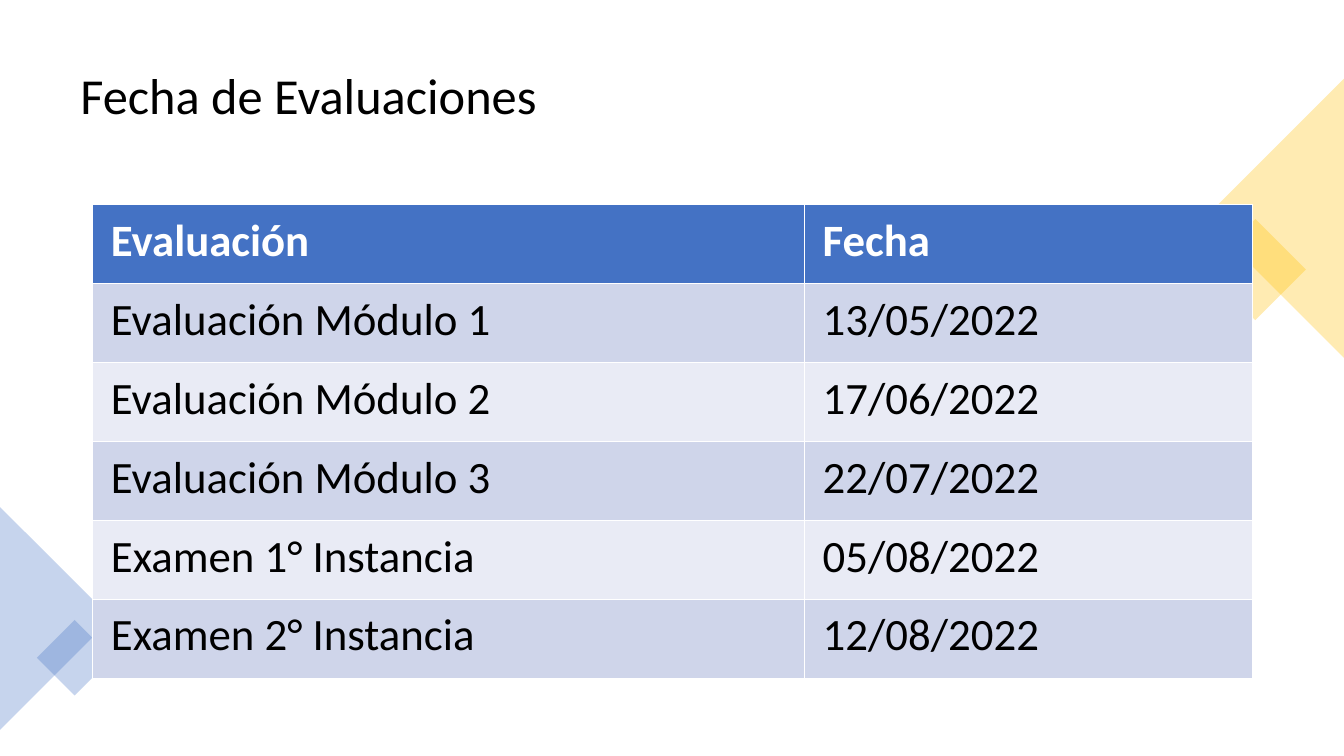
from lxml import etree
from pptx import Presentation
from pptx.dml.color import RGBColor
from pptx.enum.shapes import MSO_SHAPE
from pptx.enum.text import MSO_ANCHOR
from pptx.oxml.ns import qn
from pptx.util import Inches, Pt

SQUARE = MSO_SHAPE.RECTANGLE
TRIANGLE = MSO_SHAPE.ISOSCELES_TRIANGLE
MIDDLE = MSO_ANCHOR.MIDDLE

BLACK = RGBColor(0x00, 0x00, 0x00)
WHITE = RGBColor(0xFF, 0xFF, 0xFF)
BLUE = RGBColor(0x44, 0x72, 0xC4)
GOLD = RGBColor(0xFF, 0xC0, 0x00)
BAND_DARK = RGBColor(0xCF, 0xD5, 0xEA)
BAND_LIGHT = RGBColor(0xE9, 0xEB, 0xF5)

FONT = "Calibri"
OPACITY = "30000"
SLIDE_WIDTH, SLIDE_HEIGHT = 13.33, 7.5
DATE_SHARE = 4.44 / 11.5

SCHEDULE = [
    ("Evaluación", "Fecha"),
    ("Evaluación Módulo 1", "13/05/2022"),
    ("Evaluación Módulo 2", "17/06/2022"),
    ("Evaluación Módulo 3", "22/07/2022"),
    ("Examen 1° Instancia", "05/08/2022"),
    ("Examen 2° Instancia", "12/08/2022"),
]


def style_text(paragraph, size, color, bold=False):
    font = paragraph.font
    font.name = FONT
    font.size = Pt(size)
    font.color.rgb = color
    font.bold = bold


def add_title(slide, left, top, width, height):
    title = slide.shapes.add_textbox(
        Inches(left), Inches(top), Inches(width), Inches(height))
    frame = title.text_frame
    frame.word_wrap = True
    frame.vertical_anchor = MIDDLE
    heading = frame.paragraphs[0]
    heading.text = "Fecha de Evaluaciones"
    heading.line_spacing = 0.9
    style_text(heading, 36, BLACK)


def add_translucent(slide, kind, center, size, rotation, color):
    (x, y), (width, height) = center, size
    ornament = slide.shapes.add_shape(
        kind, Inches(x - width / 2), Inches(y - height / 2),
        Inches(width), Inches(height))
    ornament.rotation = rotation
    ornament.shadow.inherit = False
    ornament.line.fill.background()
    ornament.fill.solid()
    ornament.fill.fore_color.rgb = color
    tint = next(ornament.fill._xPr.iter(qn("a:srgbClr")))
    etree.SubElement(tint, qn("a:alpha")).set("val", OPACITY)


def add_right_ornament(slide, top, height):
    depth = height / 2
    middle = top + depth
    add_translucent(slide, SQUARE, (SLIDE_WIDTH - 0.88, middle + 0.51),
                    (0.71, 0.71), 45, GOLD)
    add_translucent(slide, TRIANGLE, (SLIDE_WIDTH - depth / 2, middle),
                    (height, depth), 270, GOLD)


def add_left_ornament(slide, top, height):
    depth = height / 2
    middle = top + depth
    add_translucent(slide, TRIANGLE, (depth / 2, middle),
                    (height, depth), 90, BLUE)
    add_translucent(slide, SQUARE, (0.74, middle + 0.39),
                    (0.53, 0.53), 45, BLUE)


def add_schedule(slide, left, top, width, height):
    schedule = slide.shapes.add_table(
        len(SCHEDULE), 2, Inches(left), Inches(top),
        Inches(width), Inches(height)).table
    schedule.columns[0].width = Inches(width * (1 - DATE_SHARE))
    schedule.columns[1].width = Inches(width * DATE_SHARE)
    for row, entries in enumerate(SCHEDULE):
        is_header = row == 0
        band = BAND_DARK if row % 2 else BAND_LIGHT
        for column, entry in enumerate(entries):
            cell = schedule.cell(row, column)
            cell.text = entry
            cell.margin_left = cell.margin_right = Inches(0.18)
            cell.margin_top = cell.margin_bottom = Inches(0.09)
            cell.fill.solid()
            cell.fill.fore_color.rgb = BLUE if is_header else band
            style_text(cell.text_frame.paragraphs[0], 32,
                       WHITE if is_header else BLACK, is_header)


def main():
    deck = Presentation()
    deck.slide_width = Inches(SLIDE_WIDTH)
    deck.slide_height = Inches(SLIDE_HEIGHT)
    slide = deck.slides.add_slide(deck.slide_layouts[6])
    add_title(slide, 0.7, 0.35, 11.93, 1.24)
    add_right_ornament(slide, 0.78, 2.77)
    add_left_ornament(slide, 5.03, 2.21)
    add_schedule(slide, 0.92, 2.03, 11.5, 4.7)
    deck.save("out.pptx")


if __name__ == "__main__":
    main()
